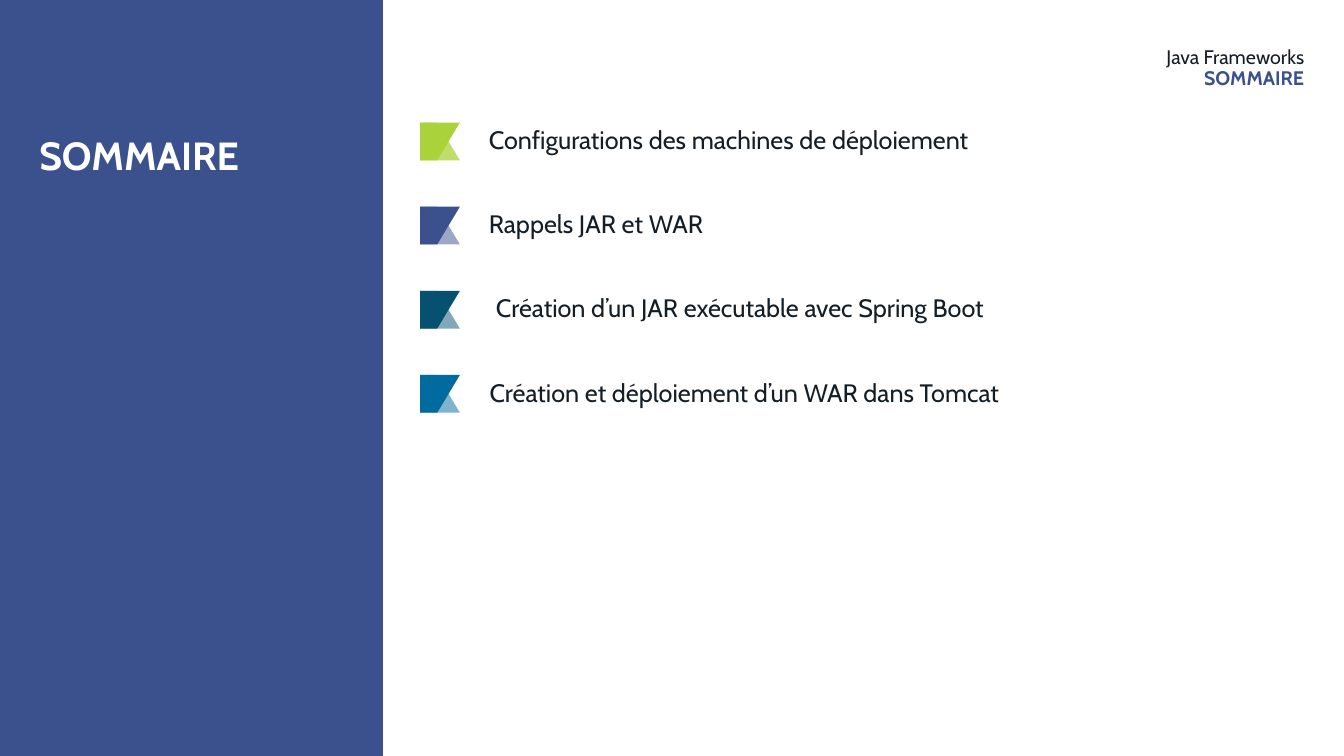
"""Build the agenda slide of a Java frameworks course."""
from lxml import etree
from pptx import Presentation
from pptx.dml.color import RGBColor
from pptx.enum.shapes import MSO_SHAPE
from pptx.enum.text import MSO_ANCHOR, MSO_AUTO_SIZE, PP_ALIGN
from pptx.oxml.ns import qn
from pptx.util import Cm, Pt

RECTANGLE = MSO_SHAPE.RECTANGLE
TOP, MIDDLE = MSO_ANCHOR.TOP, MSO_ANCHOR.MIDDLE
LEFT, RIGHT = PP_ALIGN.LEFT, PP_ALIGN.RIGHT
NO_AUTOFIT = MSO_AUTO_SIZE.NONE

INK, NAVY, WHITE = "141E26", "3B518E", "FFFFFF"
FIRST_ROW, ROW_PITCH = 3.09, 2.12
FLAG_LEFT, FLAG_WIDTH, FLAG_HEIGHT, FLAG_FOOT = 10.59, 1.0, 0.95, 0.43
AGENDA = [
    ("Configurations des machines de déploiement", "AAD23B", 75, 12.07),
    ("Rappels JAR et WAR", NAVY, 50, 12.07),
    ("Création d’un JAR exécutable avec Spring Boot", "06516F", 50, 12.25),
    ("Création et déploiement d’un WAR dans Tomcat", "016B9F", 50, 12.09),
]


def colour(hex_code):
    """Turn a hex string into a colour."""
    return RGBColor.from_string(hex_code)


class AgendaSlide:
    """Holds the style and the current slide."""

    font = "Cabin"
    line_spacing = 0.9

    def __init__(self, deck):
        """Add a title-only slide to the deck."""
        self.slide = deck.slides.add_slide(deck.slide_layouts[5])
        self.shapes = self.slide.shapes

    def paint(self, shape, fill, opacity=100):
        """Give a shape a flat fill without line or shadow."""
        shape.shadow.inherit = False
        shape.line.fill.background()
        shape.fill.solid()
        shape.fill.fore_color.rgb = colour(fill)
        if opacity < 100:
            tint = shape.fill._xPr.find(".//" + qn("a:srgbClr"))
            etree.SubElement(tint, qn("a:alpha"), val=str(opacity * 1000))

    def side_panel(self, width, height, fill):
        """Draw the coloured panel behind everything else."""
        panel = self.shapes.add_shape(RECTANGLE, 0, 0, Cm(width), Cm(height))
        self.paint(panel, fill)
        self.shapes._spTree.insert(2, panel._element)

    def place(self, holder, left, top, width, height):
        """Move and size a text holder."""
        holder.left, holder.top = Cm(left), Cm(top)
        holder.width, holder.height = Cm(width), Cm(height)

    def set_lines(self, holder, lines, size, anchor=TOP, align=LEFT, inset=0):
        """Fill a text holder with (text, colour, bold) lines."""
        frame = holder.text_frame
        frame.text = "\n".join(text for text, _, _ in lines)
        frame.word_wrap = True
        frame.auto_size = NO_AUTOFIT
        frame.vertical_anchor = anchor
        frame.margin_left = frame.margin_right = Cm(inset)
        frame.margin_top = frame.margin_bottom = 0
        for paragraph, (_, ink, bold) in zip(frame.paragraphs, lines):
            paragraph.alignment = align
            paragraph.line_spacing = self.line_spacing
            for run in paragraph.runs:
                run.font.name = self.font
                run.font.size = Pt(size)
                run.font.bold = bold
                run.font.color.rgb = colour(ink)

    def title(self, text, left, top, width, height):
        """Put the title placeholder on the side panel."""
        heading = self.shapes.title
        self.place(heading, left, top, width, height)
        self.set_lines(heading, [(text, WHITE, True)], 28)

    def text(self, lines, size, left, top, width, height, **layout):
        """Add a text box."""
        box = self.shapes.add_textbox(0, 0, 0, 0)
        self.place(box, left, top, width, height)
        self.set_lines(box, lines, size, **layout)

    def flag(self, top, fill, opacity):
        """Draw a notched flag from a pale half and its solid mirror."""
        bottom = top + FLAG_HEIGHT
        right = FLAG_LEFT + FLAG_WIDTH
        foot = FLAG_LEFT + FLAG_FOOT
        for near, far, strength in ((top, bottom, opacity), (bottom, top, 100)):
            outline = self.shapes.build_freeform(Cm(foot), Cm(near))
            corners = [(right, far), (FLAG_LEFT, far), (FLAG_LEFT, near)]
            outline.add_line_segments([(Cm(x), Cm(y)) for x, y in corners])
            self.paint(outline.convert_to_shape(), fill, strength)


def main():
    """Build and save the deck."""
    deck = Presentation()
    deck.slide_width, deck.slide_height = Cm(33.87), Cm(19.05)
    agenda = AgendaSlide(deck)
    agenda.side_panel(9.65, 19.05, NAVY)
    agenda.title("SOMMAIRE", 0.99, 3.45, 7.92, 12.29)
    agenda.text(
        [("Java Frameworks", INK, False), ("SOMMAIRE", NAVY, True)],
        14, 10.62, 1.19, 22.25, 1.22, align=RIGHT)
    for row, (topic, fill, opacity, left) in enumerate(AGENDA):
        top = FIRST_ROW + row * ROW_PITCH
        agenda.flag(top, fill, opacity)
        agenda.text([(topic, INK, False)], 18, left, top, 18.34, FLAG_HEIGHT,
                    anchor=MIDDLE, inset=0.25)
    deck.save("out.pptx")


if __name__ == "__main__":
    main()
